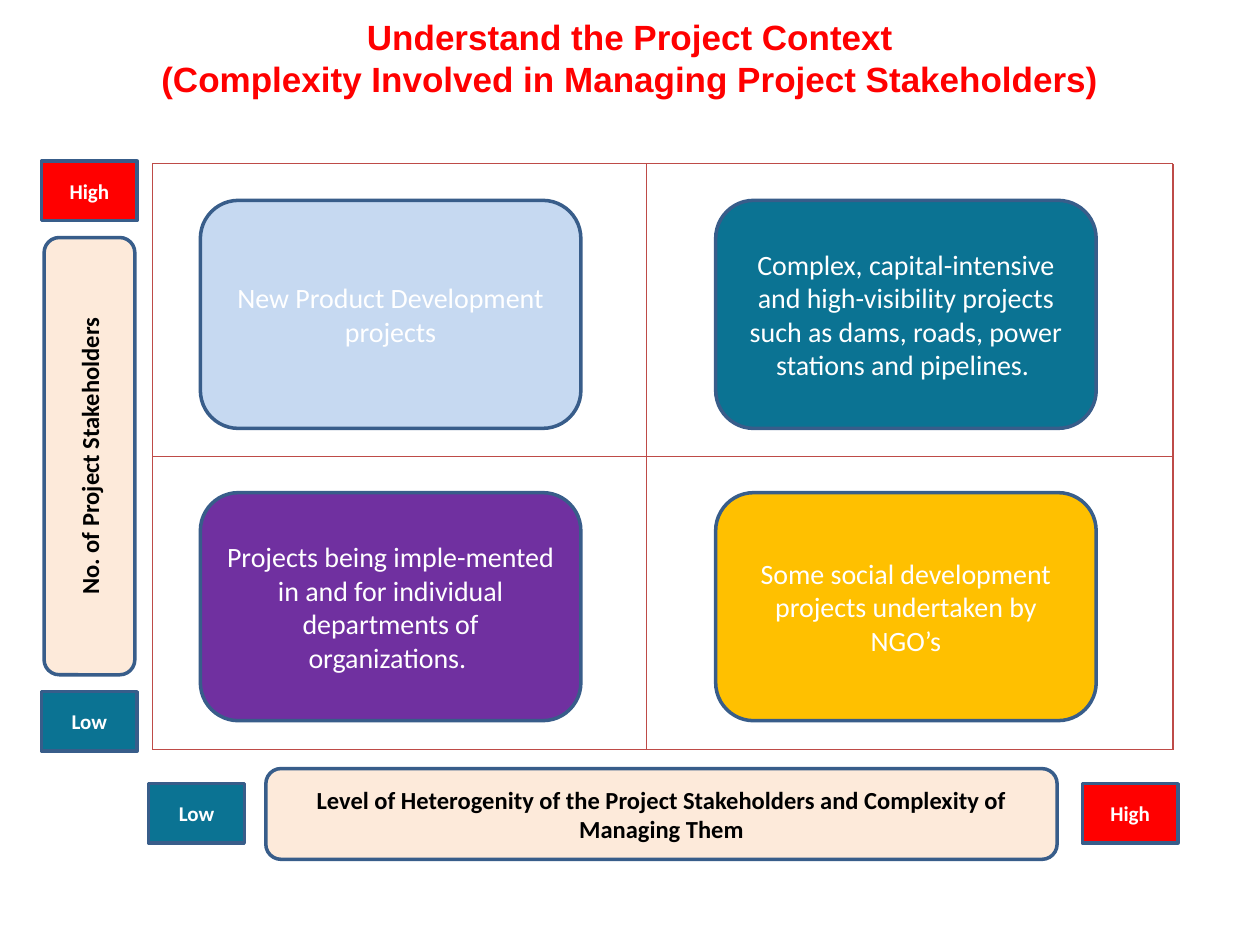
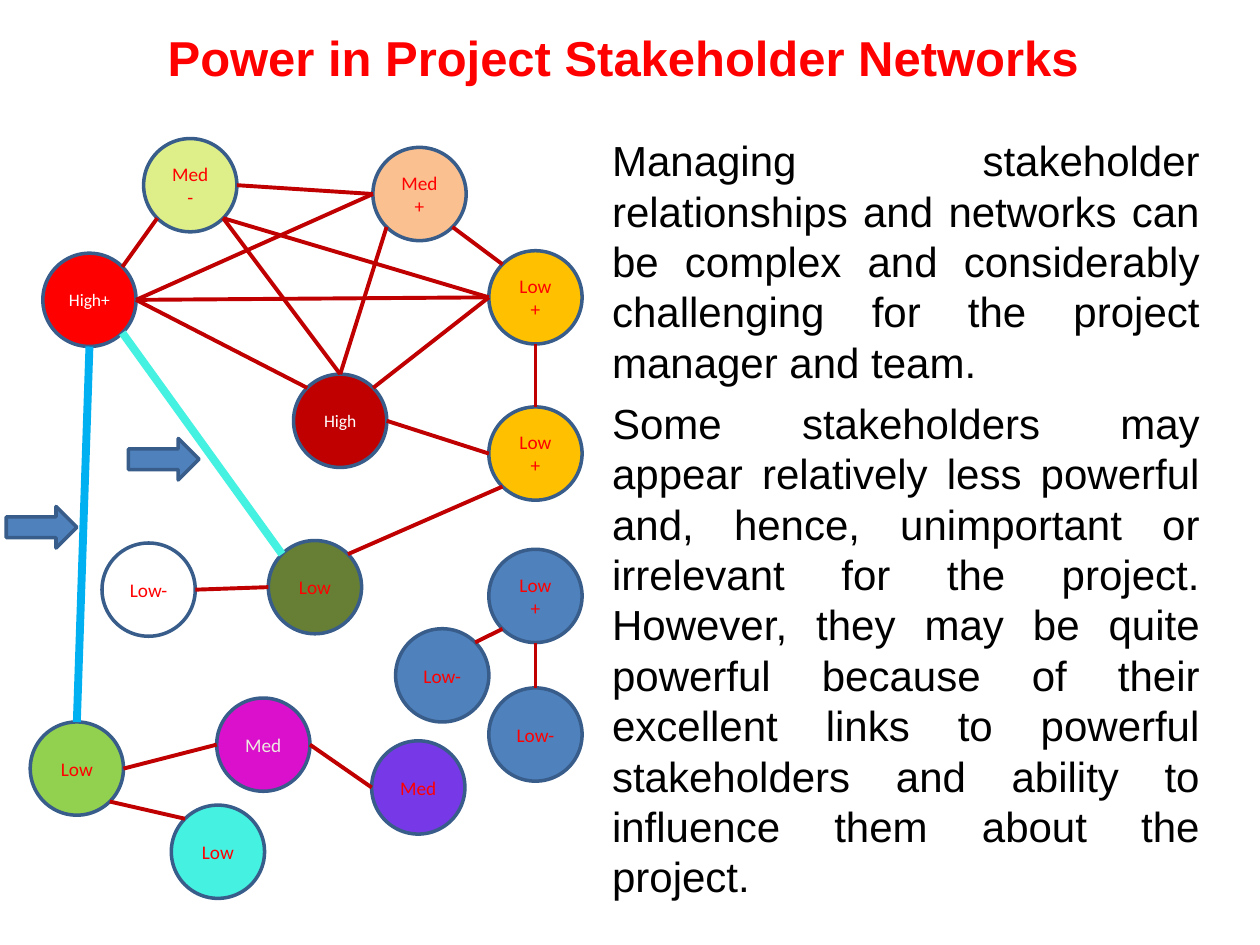
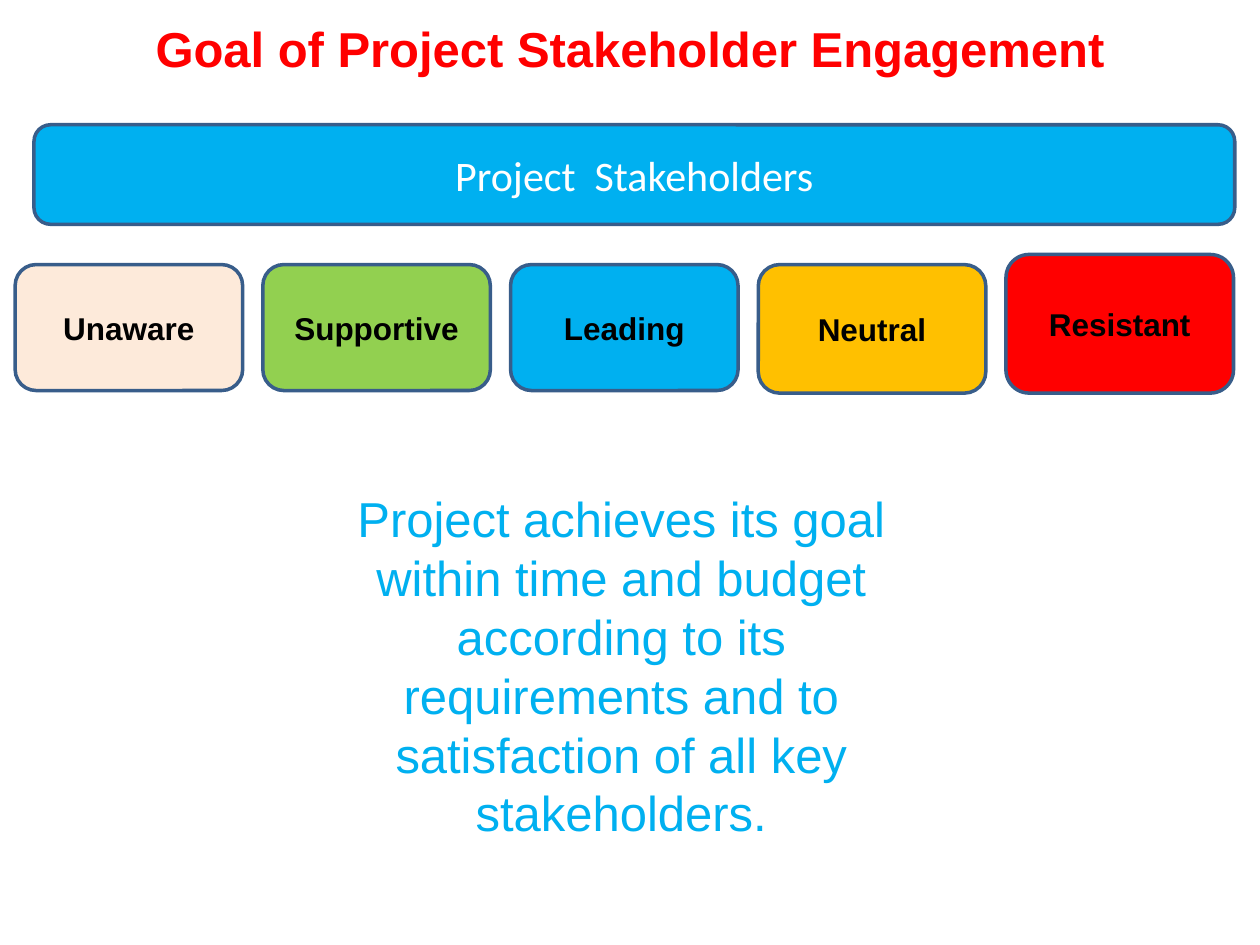
from dataclasses import dataclass
from math import cos, radians, sin

from lxml import etree
from pptx import Presentation
from pptx.dml.color import RGBColor
from pptx.enum.shapes import MSO_CONNECTOR, MSO_SHAPE
from pptx.enum.text import MSO_ANCHOR, MSO_AUTO_SIZE, PP_ALIGN
from pptx.oxml.ns import qn
from pptx.util import Inches, Pt

STRAIGHT = MSO_CONNECTOR.STRAIGHT
RECT, ROUNDED = MSO_SHAPE.RECTANGLE, MSO_SHAPE.ROUNDED_RECTANGLE
OVAL, ARROW = MSO_SHAPE.OVAL, MSO_SHAPE.RIGHT_ARROW
TOP, MIDDLE = MSO_ANCHOR.TOP, MSO_ANCHOR.MIDDLE
CENTER, JUSTIFY = PP_ALIGN.CENTER, PP_ALIGN.JUSTIFY
FIXED_SIZE = MSO_AUTO_SIZE.NONE

WHITE = RGBColor(0xFF, 0xFF, 0xFF)
BLACK = RGBColor(0x00, 0x00, 0x00)
RED = RGBColor(0xFF, 0x00, 0x00)
DARK_RED = RGBColor(0xC0, 0x00, 0x00)
GRID_RED = RGBColor(0xBE, 0x4B, 0x48)
OUTLINE = RGBColor(0x38, 0x5D, 0x8A)
BLUE = RGBColor(0x4F, 0x81, 0xBD)
PALE_BLUE = RGBColor(0xC6, 0xD9, 0xF1)
SKY = RGBColor(0x00, 0xB0, 0xF0)
TEAL = RGBColor(0x0B, 0x73, 0x93)
TURQUOISE = RGBColor(0x45, 0xF1, 0xE1)
PURPLE = RGBColor(0x70, 0x30, 0xA0)
VIOLET = RGBColor(0x77, 0x38, 0xE8)
MAGENTA = RGBColor(0xDA, 0x10, 0xCC)
AMBER = RGBColor(0xFF, 0xC0, 0x00)
CREAM = RGBColor(0xFD, 0xEA, 0xDA)
PEACH = RGBColor(0xFA, 0xC0, 0x90)
LIME = RGBColor(0xDE, 0xEF, 0x89)
GREEN = RGBColor(0x92, 0xD0, 0x50)
OLIVE = RGBColor(0x67, 0x7F, 0x34)
IVORY = RGBColor(0xEE, 0xEC, 0xE1)

HEADING_FONT, LABEL_FONT = "Arial", "Calibri"
SLIDE_W, SLIDE_H = 10, 7.5
TITLE_ONLY = 5


@dataclass
class Box:
    left: float
    top: float
    width: float
    height: float

    def inner(self, x, y, width, height):
        """Return a box placed relative to this one's top left corner."""
        return Box(self.left + x, self.top + y, width, height)

    def emu(self):
        return [Inches(v) for v in (self.left, self.top, self.width, self.height)]


def write(frame, *paragraphs, size=16, color=WHITE, font=LABEL_FONT, bold=False,
          align=CENTER, anchor=MIDDLE, gap=0):
    frame.word_wrap = True
    frame.auto_size = FIXED_SIZE
    frame.vertical_anchor = anchor
    for i, text in enumerate(paragraphs):
        paragraph = frame.add_paragraph() if i else frame.paragraphs[0]
        paragraph.text = text
        paragraph.alignment = align
        paragraph.space_before = Pt(0)
        paragraph.space_after = Pt(gap if i < len(paragraphs) - 1 else 0)
        for run in paragraph.runs:
            run.font.name = font
            run.font.size = Pt(size)
            run.font.bold = bold
            run.font.color.rgb = color


def add_panel(slide, kind, box, fill, *text, line=OUTLINE, weight=2, **style):
    panel = slide.shapes.add_shape(kind, *box.emu())
    panel.shadow.inherit = False
    if fill is None:
        panel.fill.background()
    else:
        panel.fill.solid()
        panel.fill.fore_color.rgb = fill
    panel.line.color.rgb = line
    panel.line.width = Pt(weight)
    if text:
        write(panel.text_frame, *text, **style)
    return panel


def add_line(slide, start, end, color, weight):
    line = slide.shapes.add_connector(
        STRAIGHT, *[Inches(v) for v in (*start, *end)])
    line.line.color.rgb = color
    line.line.width = Pt(weight)
    etree.SubElement(line._element.spPr, qn("a:effectLst"))


def add_titled_slide(prs, title, size=28, height=0.91):
    slide = prs.slides.add_slide(prs.slide_layouts[TITLE_ONLY])
    heading = slide.shapes.title
    box = Box(0.5, 0, SLIDE_W - 1, height)
    heading.left, heading.top, heading.width, heading.height = box.emu()
    write(heading.text_frame, title, size=size, color=RED, font=HEADING_FONT, bold=True)
    return slide


# Complexity matrix

QUADRANTS = [
    [("New Product Development projects", PALE_BLUE),
     ("Complex, capital-intensive and high-visibility projects such as dams, "
      "roads, power stations and pipelines. ", TEAL)],
    [("Projects being imple-mented in and for individual departments of "
      "organizations. ", PURPLE),
     ("Some social development projects undertaken by NGO’s", AMBER)],
]


def draw_matrix(slide, box):
    right, bottom = box.left + box.width, box.top + box.height
    for x in (box.left, 5.13, right):
        add_line(slide, (x, box.top), (x, bottom), GRID_RED, 0.75)
    for y in (box.top, box.top + box.height / 2, bottom):
        add_line(slide, (box.left, y), (right, y), GRID_RED, 0.75)
    for row, cards in enumerate(QUADRANTS):
        for column, (text, fill) in enumerate(cards):
            card = box.inner(0.38 + column * 4.09, 0.29 + row * 2.32, 3.02, 1.81)
            add_panel(slide, ROUNDED, card, fill, text)


def draw_level(slide, box, text):
    fill = RED if text == "High" else TEAL
    add_panel(slide, RECT, box, fill, text, size=12, bold=True)


def draw_axis_name(slide, box, text):
    return add_panel(slide, ROUNDED, box, CREAM, text, size=14, color=BLACK, bold=True)


def draw_stakeholder_axis(slide, box):
    level_w, level_h = box.width, 0.47
    draw_level(slide, box.inner(0, 0, level_w, level_h), "High")
    draw_level(slide, box.inner(0, box.height - level_h, level_w, level_h), "Low")
    length, thickness = 3.47, 0.72
    name = box.inner((box.width - length) / 2, (box.height - thickness) / 2,
                     length, thickness)
    draw_axis_name(slide, name, "No. of Project Stakeholders").rotation = 270


def draw_heterogeneity_axis(slide, box):
    level_w, level_h = 0.76, 0.47
    draw_level(slide, box.inner(0, 0.12, level_w, level_h), "Low")
    draw_level(slide, box.inner(box.width - level_w, 0.12, level_w, level_h), "High")
    draw_axis_name(slide, box.inner(0.93, 0, 6.28, box.height),
                   "Level of Heterogenity of the Project Stakeholders "
                   "and Complexity of Managing Them")


def build_context_slide(prs):
    slide = add_titled_slide(
        prs, "Understand the Project Context\n"
             "(Complexity Involved in Managing Project Stakeholders)", size=20)
    draw_matrix(slide, Box(1.21, 1.3, 8.1, 4.65))
    draw_stakeholder_axis(slide, Box(0.33, 1.28, 0.76, 4.68))
    draw_heterogeneity_axis(slide, Box(1.18, 6.1, 8.17, 0.72))


# Stakeholder network

NODE_SIZE = 0.74
# key: (x, y, label, fill, text colour, text size)
NODES = {
    "lime": (1.14, 0.1, "Med-", LIME, RED, 11),
    "hub": (2.33, 1.97, "High", DARK_RED, WHITE, 10),
    "peach": (2.96, 0.17, "Med+", PEACH, RED, 11),
    "upper amber": (3.88, 0.99, "Low+", AMBER, RED, 11),
    "white": (0.81, 3.31, "Low-", WHITE, RED, 11),
    "upper blue": (3.88, 3.36, "Low+", BLUE, RED, 11),
    "leader": (0.34, 1.01, "High+", RED, WHITE, 10),
    "olive": (2.13, 3.29, "Low", OLIVE, RED, 11),
    "magenta": (1.72, 4.54, "Med", MAGENTA, IVORY, 11),
    "lower blue": (3.88, 4.46, "Low-", BLUE, RED, 11),
    "left blue": (3.14, 3.99, "Low-", BLUE, RED, 11),
    "violet": (2.95, 4.88, "Med", VIOLET, RED, 11),
    "turquoise": (1.36, 5.39, "Low", TURQUOISE, RED, 11),
    "lower amber": (3.88, 2.23, "Low+", AMBER, RED, 11),
    "green": (0.24, 4.73, "Low", GREEN, RED, 11),
}
LINKS = [
    ("leader", "NE", "lime", "SW"), ("leader", "E", "hub", "NW"),
    ("lime", "SE", "hub", "N"), ("lime", "E", "peach", "W"),
    ("peach", "SW", "hub", "N"), ("hub", "NE", "upper amber", "W"),
    ("upper amber", "NW", "peach", "SE"), ("olive", "W", "white", "E"),
    ("olive", "NE", "lower amber", "SW"), ("hub", "E", "lower amber", "W"),
    ("leader", "E", "upper amber", "W"), ("lime", "SE", "upper amber", "W"),
    ("green", "E", "magenta", "W"), ("magenta", "E", "violet", "W"),
    ("upper blue", "SW", "left blue", "NE"), ("upper blue", "S", "lower blue", "N"),
    ("upper amber", "S", "lower amber", "N"), ("turquoise", "NW", "green", "SE"),
    ("leader", "E", "peach", "W"),
]
KEY_LINKS = [("leader", "S", "green", "N", SKY), ("olive", "NW", "leader", "SE", TURQUOISE)]
COMPASS = ["E", "SE", "S", "SW", "W", "NW", "N", "NE"]


def rim_point(box, node, direction):
    """Return the point of a node's circle that lies in a compass direction."""
    x, y = NODES[node][:2]
    angle = radians(45 * COMPASS.index(direction))
    radius = NODE_SIZE / 2
    return (box.left + x + radius * (1 + cos(angle)),
            box.top + y + radius * (1 + sin(angle)))


def draw_network(slide, box):
    for x, y, label, fill, color, size in NODES.values():
        add_panel(slide, OVAL, box.inner(x, y, NODE_SIZE, NODE_SIZE), fill, label,
                  color=color, size=size)
    links = [(*link, DARK_RED, 2.25) for link in LINKS]
    links += [(*link, 4.5) for link in KEY_LINKS]
    for source, leave, target, arrive, color, weight in links:
        add_line(slide, rim_point(box, source, leave),
                 rim_point(box, target, arrive), color, weight)
    for x, y in ((0.05, 3.02), (1.02, 2.48)):
        add_panel(slide, ARROW, box.inner(x, y, 0.56, 0.33), BLUE)


def draw_explanation(slide, box):
    explanation = slide.shapes.add_textbox(*box.emu())
    write(explanation.text_frame,
          "Managing stakeholder relationships and networks can be complex and "
          "considerably challenging for the project manager and team. ",
          "Some stakeholders may appear relatively less powerful and, hence, "
          "unimportant or irrelevant for the project. However, they may be quite "
          "powerful because of their excellent links to powerful stakeholders and "
          "ability to influence them about the project. ",
          size=24, color=BLACK, font=HEADING_FONT, align=JUSTIFY, anchor=TOP, gap=6)


def build_network_slide(prs):
    slide = add_titled_slide(prs, "Power in Project Stakeholder Networks ")
    draw_network(slide, Box(0, 1, 4.7, 6.2))
    draw_explanation(slide, Box(4.76, 1.02, 4.86, 6.19))


# Engagement goal

# label, fill, rise above the row, height
ATTITUDES = [
    ("Unaware", CREAM, 0, 1),
    ("Supportive", GREEN, 0, 1),
    ("Leading", SKY, 0, 1),
    ("Neutral", AMBER, 0, 1.02),
    ("Resistant", RED, 0.08, 1.1),
]


def draw_attitudes(slide, box):
    gap = 0.16
    width = (box.width - gap * (len(ATTITUDES) - 1)) / len(ATTITUDES)
    for i, (label, fill, rise, height) in enumerate(ATTITUDES):
        add_panel(slide, ROUNDED, box.inner(i * (width + gap), -rise, width, height),
                  fill, label, size=18, color=BLACK, font=HEADING_FONT, bold=True)


def build_goal_slide(prs):
    slide = add_titled_slide(prs, "Goal of Project Stakeholder Engagement", height=0.76)
    add_panel(slide, ROUNDED, Box(0.27, 0.99, 9.53, 0.79), SKY,
              "Project  Stakeholders", size=24)
    draw_attitudes(slide, Box(0.12, 2.1, 9.67, 1))
    add_panel(slide, RECT, Box(2.64, 3.83, 4.58, 2.9), None,
              "Project achieves its goal within time and budget according to its "
              "requirements and to satisfaction of all key stakeholders.",
              line=WHITE, weight=0.75, size=28, color=SKY, font=HEADING_FONT, anchor=TOP)


def main():
    prs = Presentation()
    prs.slide_width, prs.slide_height = Inches(SLIDE_W), Inches(SLIDE_H)
    build_context_slide(prs)
    build_network_slide(prs)
    build_goal_slide(prs)
    prs.save("out.pptx")


if __name__ == "__main__":
    main()
